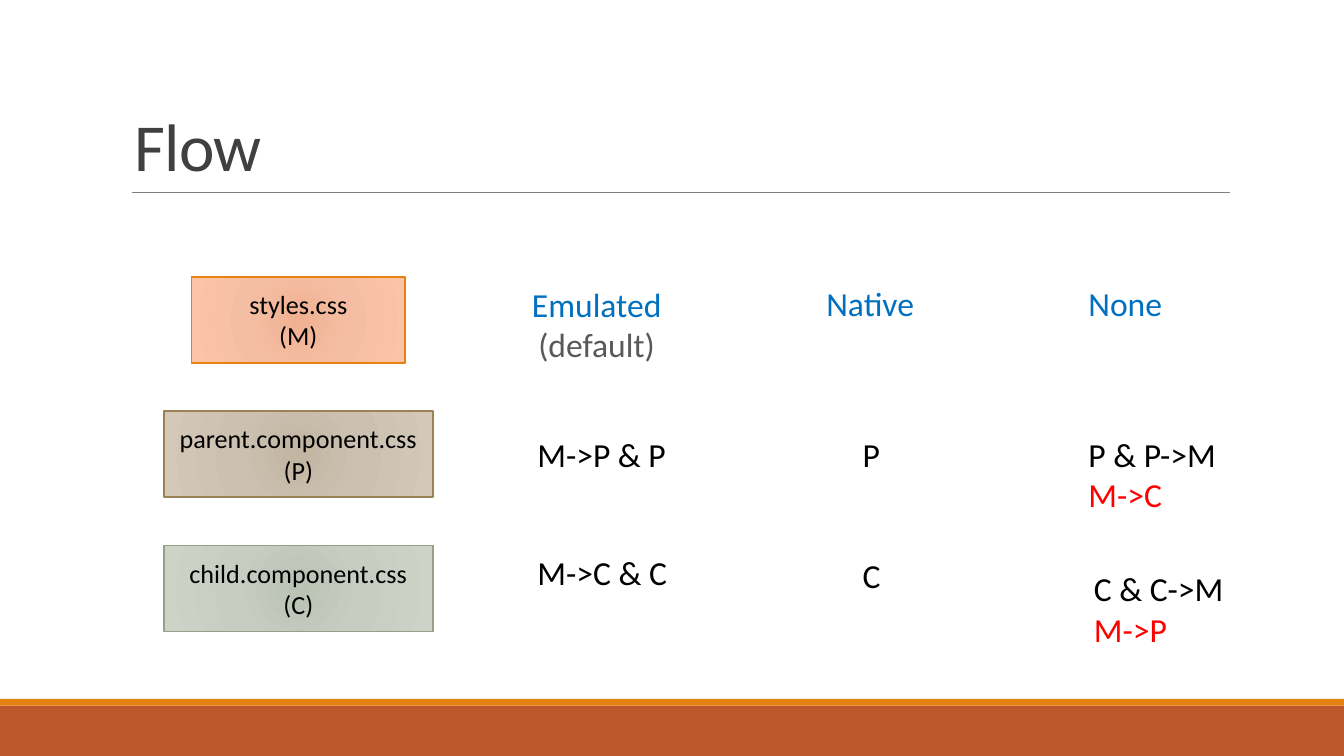
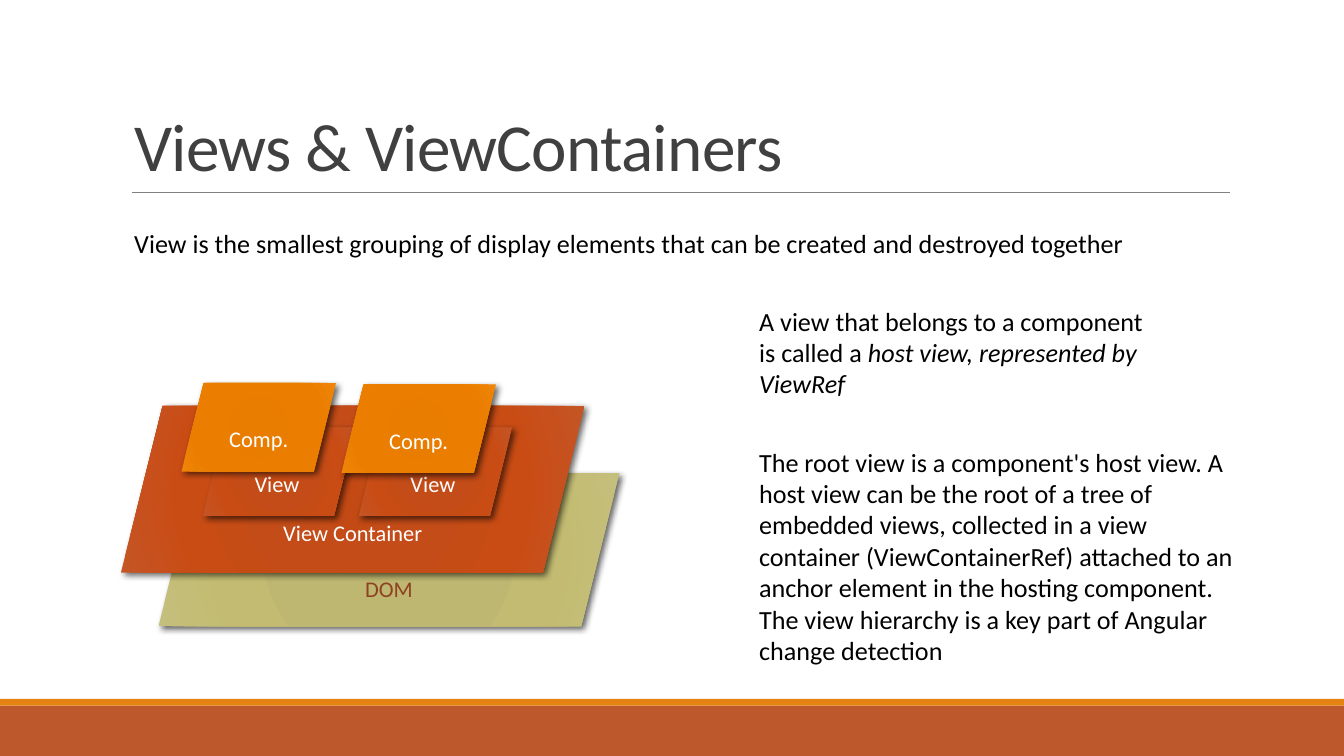
from lxml import etree
from pptx import Presentation
from pptx.dml.color import RGBColor
from pptx.enum.shapes import MSO_CONNECTOR, MSO_SHAPE
from pptx.enum.text import MSO_ANCHOR, MSO_AUTO_SIZE, PP_ALIGN
from pptx.oxml.ns import qn
from pptx.util import Inches, Pt

RECTANGLE = MSO_SHAPE.RECTANGLE
PARALLELOGRAM = MSO_SHAPE.PARALLELOGRAM
STRAIGHT = MSO_CONNECTOR.STRAIGHT
LEFT, CENTER = PP_ALIGN.LEFT, PP_ALIGN.CENTER
MIDDLE, BOTTOM = MSO_ANCHOR.MIDDLE, MSO_ANCHOR.BOTTOM
FIT_SHAPE, NO_FIT = MSO_AUTO_SIZE.SHAPE_TO_FIT_TEXT, MSO_AUTO_SIZE.NONE
TITLE_ONLY = 5

FONT = "Calibri"
BLACK = RGBColor(0x00, 0x00, 0x00)
WHITE = RGBColor(0xFF, 0xFF, 0xFF)
RED = RGBColor(0xFF, 0x00, 0x00)
BLUE = RGBColor(0x00, 0x70, 0xC0)
GRAY = RGBColor(0x59, 0x59, 0x59)
TITLE_GRAY = RGBColor(0x40, 0x40, 0x40)
RULE_GRAY = RGBColor(0x80, 0x80, 0x80)
RUST = RGBColor(0xBD, 0x58, 0x2C)
ORANGE = RGBColor(0xE4, 0x83, 0x12)
TAN = RGBColor(0x9B, 0x83, 0x57)
SAGE = RGBColor(0x94, 0xA0, 0x88)
BROWN = RGBColor(0x8E, 0x42, 0x21)


def gradient(positions, *colors):
    return [(position, RGBColor.from_string(color))
            for position, color in zip(positions, colors)]


SOFT_STOPS = (0, 45, 100)
PEACH_FILL = gradient(SOFT_STOPS, "F0B191", "F5BEA4", "FDC3A8")
TAN_FILL = gradient(SOFT_STOPS, "C2B5A2", "CCC1B1", "D4C8B8")
SAGE_FILL = gradient(SOFT_STOPS, "BBC3B5", "C7CDC1", "CDD4C7")
DEEP_STOPS = (0, 34, 70, 100)
OLIVE_FILL = gradient(DEEP_STOPS, "BEB76E", "BEB771", "C3BB71", "C5BF7D")
RUST_FILL = gradient(DEEP_STOPS, "C44A15", "C34C18", "C94C15", "C45525")
ORANGE_FILL = gradient(DEEP_STOPS, "E57B00", "E87D00", "EB7E00", "EF8407")


# Helpers
def place(box):
    return [Inches(value) for value in box]


def add_color(parent, color):
    return etree.SubElement(parent, qn("a:srgbClr"), val=str(color))


def fill_radial(shape, stops):
    """Fill from the center outwards in a circle."""
    fill = etree.Element(qn("a:gradFill"), rotWithShape="1")
    stop_list = etree.SubElement(fill, qn("a:gsLst"))
    for position, color in stops:
        stop = etree.SubElement(stop_list, qn("a:gs"), pos=str(position * 1000))
        add_color(stop, color)
    circle = etree.SubElement(fill, qn("a:path"), {"path": "circle"})
    sides = dict.fromkeys("ltrb", "50000")
    etree.SubElement(circle, qn("a:fillToRect"), sides)
    shape._element.spPr.find(qn("a:prstGeom")).addnext(fill)


def cast_shadow(shape):
    effects = shape._element.spPr.find(qn("a:effectLst"))
    shadow = etree.SubElement(
        effects, qn("a:outerShdw"), blurRad=str(Pt(3.5)), dist=str(Pt(2)),
        dir=str(45 * 60000), algn="tl", rotWithShape="0")
    etree.SubElement(add_color(shadow, BLACK), qn("a:alpha"), val="60000")


def add_run(paragraph, text, size, color, italic=False):
    run = paragraph.add_run()
    run.text = text
    run.font.name = FONT
    run.font.size = Pt(size)
    run.font.color.rgb = color
    if italic:
        run.font.italic = True
    return run


def write_lines(frame, lines, size, align):
    """Write one paragraph for each (text, color) line."""
    for index, (text, color) in enumerate(lines):
        paragraph = frame.paragraphs[0] if index == 0 else frame.add_paragraph()
        paragraph.alignment = align
        add_run(paragraph, text, size, color)


def add_block(slide, kind, box, lines=(), size=14, anchor=MIDDLE):
    shape = slide.shapes.add_shape(kind, *place(box))
    shape.shadow.inherit = False
    shape.line.fill.background()
    shape.text_frame.vertical_anchor = anchor
    write_lines(shape.text_frame, lines, size, CENTER)
    return shape


def add_label(slide, box, lines, size=18, align=LEFT, wrap=False):
    frame = slide.shapes.add_textbox(*place(box)).text_frame
    frame.word_wrap = wrap
    frame.auto_size = FIT_SHAPE
    write_lines(frame, lines, size, align)
    return frame


# Shared frame: bands, title and rule
def add_titled_slide(presentation, title):
    slide = presentation.slides.add_slide(presentation.slide_layouts[TITLE_ONLY])
    for top, height, color in ((5.25, 0.38, RUST), (5.2, 0.05, ORANGE)):
        band = add_block(slide, RECTANGLE, (0, top, 10, height))
        band.fill.solid()
        band.fill.fore_color.rgb = color

    rule = slide.shapes.add_connector(STRAIGHT, *place((0.98, 1.43, 9.15, 1.43)))
    rule.line.color.rgb = RULE_GRAY
    rule.line.width = Pt(0.5)
    etree.SubElement(rule._element.spPr, qn("a:effectLst"))

    holder = slide.shapes.title
    holder.left, holder.top, holder.width, holder.height = place((0.9, 0.24, 8.25, 1.19))
    frame = holder.text_frame
    frame.vertical_anchor = BOTTOM
    frame.auto_size = NO_FIT
    paragraph = frame.paragraphs[0]
    paragraph.alignment = LEFT
    paragraph.line_spacing = 0.85
    run = add_run(paragraph, title, 36, TITLE_GRAY)
    run.font._element.set("spc", "-40")
    return slide


# Flow slide
def add_style_files(slide, left, top, width):
    files = (("styles.css", "(M)", 1.59, PEACH_FILL, ORANGE),
             ("parent.component.css", "(P)", 2, TAN_FILL, TAN),
             ("child.component.css", "(C)", 2, SAGE_FILL, SAGE))
    for row, (name, letter, file_width, stops, color) in enumerate(files):
        box = (left + (width - file_width) / 2, top + row, file_width, 0.64)
        block = add_block(slide, RECTANGLE, box, [(name, BLACK), (letter, BLACK)])
        fill_radial(block, stops)
        block.line.color.rgb = color
        block.line.width = Pt(1)


def add_modes(slide, left, top):
    add_label(slide, (left, top, 1.18, 0.71),
              [("Emulated", BLUE), ("(default)", GRAY)], align=CENTER)
    labels = (
        (2.2, 0, 0.86, [("Native", BLUE)]),
        (4.15, 0, 0.76, [("None", BLUE)]),
        (0.05, 1.12, 1.17, [("M->P & P", BLACK)]),
        (0.05, 2, 1.18, [("M->C & C", BLACK)]),
        (2.47, 1.12, 0.33, [("P", BLACK)]),
        (2.47, 2.02, 0.34, [("C", BLACK)]),
        (4.19, 2.12, 1.18, [("C & C->M", BLACK), ("M->P", RED)]),
        (4.15, 1.12, 1.17, [("P & P->M", BLACK), ("M->C", RED)]),
    )
    for x, y, width, lines in labels:
        height = 0.1 + 0.3 * len(lines)
        add_label(slide, (left + x, top + y, width, height), lines)


def build_flow(presentation):
    slide = add_titled_slide(presentation, "Flow")
    add_style_files(slide, 1.22, 2.06, 2)
    add_modes(slide, 3.85, 2.06)


# Views slide
def add_view_stack(slide, left, top):
    layers = (
        (0.28, 0.67, 3.43, 1.14, "DOM", BROWN, OLIVE_FILL),
        (0, 0.17, 3.45, 1.24, "View Container", WHITE, RUST_FILL),
        (0.61, 0.33, 1.14, 0.66, "View ", WHITE, RUST_FILL),
        (0.45, 0, 1.15, 0.66, "Comp.", WHITE, ORANGE_FILL),
        (1.77, 0.33, 1.14, 0.66, "View ", WHITE, RUST_FILL),
        (1.64, 0.01, 1.15, 0.66, "Comp.", WHITE, ORANGE_FILL),
    )
    for x, y, width, height, text, color, stops in layers:
        layer = add_block(slide, PARALLELOGRAM, (left + x, top + y, width, height),
                          [(text, color)], size=12, anchor=BOTTOM)
        fill_radial(layer, stops)
        cast_shadow(layer)


def add_explanations(slide, left, top):
    host = add_label(slide, (left, top, 3.11, 0.81),
                     [("A view that belongs to a component is called a ", BLACK)],
                     size=14, wrap=True)
    add_run(host.paragraphs[0], "host view, represented by ViewRef", 14, BLACK, italic=True)
    root_text = ("The root view is a component's host view. A host view can be the root of "
                 "a tree of embedded views, collected in a view container "
                 "(ViewContainerRef) attached to an anchor element in the hosting "
                 "component. The view hierarchy is a key part of Angular change detection")
    add_label(slide, (left, top + 1.05, 3.8, 1.75), [(root_text, BLACK)],
              size=14, wrap=True)


def build_views(presentation):
    slide = add_titled_slide(presentation, "Views & ViewContainers")
    add_view_stack(slide, 0.9, 2.85)
    definition = ("View is the smallest grouping of display elements that can be "
                  "created and destroyed together")
    add_label(slide, (0.9, 1.64, 7.88, 0.34), [(definition, BLACK)], size=14, wrap=True)
    add_explanations(slide, 5.55, 2.22)


def main():
    presentation = Presentation()
    presentation.slide_width = Inches(10)
    presentation.slide_height = Inches(10 * 9 / 16)
    build_flow(presentation)
    build_views(presentation)
    presentation.save("out.pptx")


if __name__ == "__main__":
    main()
